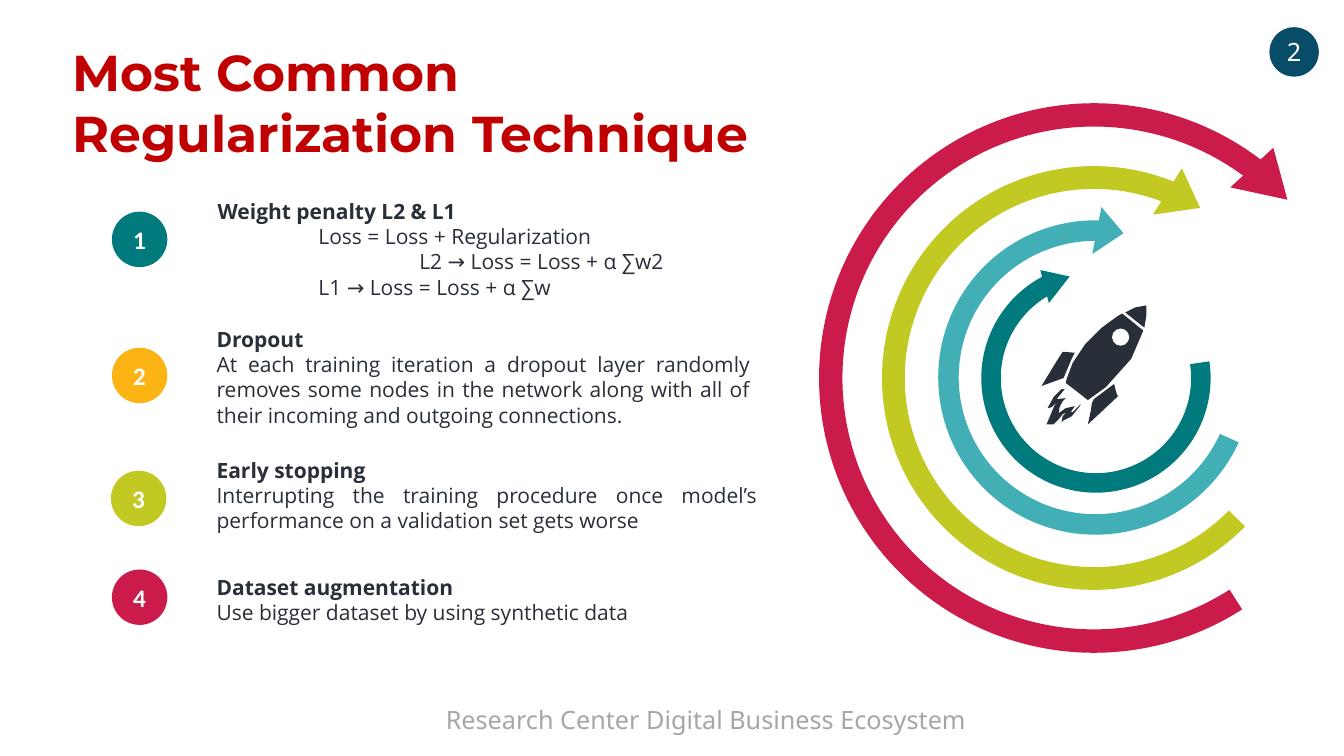
"""Build the slide on common regularization techniques."""
from dataclasses import dataclass

from pptx import Presentation
from pptx import util as u
from pptx.dml.color import RGBColor
from pptx.enum import shapes, text

PX = 9144


@dataclass(frozen=True)
class Theme:
    red: str = "C00000"
    navy: str = "074D67"
    crimson: str = "CB1B4A"
    lime: str = "C2C923"
    aqua: str = "42AFB6"
    teal: str = "007A7D"
    amber: str = "FCB414"
    ink: str = "282F39"
    grey: str = "A6A6A6"
    white: str = "FFFFFF"
    title_size: int = 36
    label_size: int = 18
    body_size: int = 15
    title_font: str = "Montserrat"
    label_font: str = "Noto Sans"
    badge_font: str = "Calibri"
    body_font: str = "Open Sans"


THEME = Theme()


@dataclass(frozen=True)
class Box:
    left: int
    top: int
    width: int
    height: int

    def emu(self) -> list:
        return [u.Emu(side * PX) for side in (self.left, self.top, self.width, self.height)]


@dataclass(frozen=True)
class Line:
    words: str
    tabs: int = 0


@dataclass(frozen=True)
class Topic:
    color: str
    badge: Box
    box: Box
    heading: str
    lines: tuple


@dataclass(frozen=True)
class Ring:
    color: str
    box: Box
    rotation: float
    adjustments: tuple


TOPICS = (
    Topic(THEME.teal, Box(111, 210, 55, 55), Box(206, 192, 509, 111), "Weight penalty L2 & L1",
          (Line("Loss = Loss + Regularization", 1), Line("L2 → Loss = Loss + α ∑w2", 2),
           Line("L1 → Loss = Loss + α ∑w", 1))),
    Topic(THEME.amber, Box(111, 345, 55, 55), Box(205, 319, 549, 111), "Dropout",
          (Line("At each training iteration a dropout layer randomly removes some nodes in the "
                "network along with all of their incoming and outgoing connections."),)),
    Topic(THEME.lime, Box(110, 467, 55, 55), Box(205, 449, 556, 86), "Early stopping",
          (Line("Interrupting the training procedure once model’s performance on a validation "
                "set gets worse"),)),
    Topic(THEME.crimson, Box(111, 565, 55, 55), Box(205, 565, 527, 61), "Dataset augmentation",
          (Line("Use bigger dataset by using synthetic data"),)),
)

RINGS = (
    Ring(THEME.crimson, Box(795, 85, 580, 580), 335.4, (0.04, 6.28, 198.89, 49.18, 0.05)),
    Ring(THEME.lime, Box(859, 149, 452, 452), 318, (0.05, 6.28, 200.1, 51.9, 0.06)),
    Ring(THEME.aqua, Box(917, 205, 339, 339), 296.7, (0.06, 6.28, 200.31, 52.61, 0.07)),
    Ring(THEME.teal, Box(966, 254, 242, 242), 267.4, (0.08, 8.87, 199.98, 50.53, 0.07)),
)

HULL = ((1057, 380), (1058, 376), (1064, 360), (1076, 342), (1093, 325), (1108, 314),
        (1113, 311), (1129, 324), (1134, 328), (1122, 356), (1097, 384), (1079, 397),
        (1065, 386))
RIGHT_FIN = ((1105, 381), (1106, 385), (1108, 392), (1109, 393), (1092, 409), (1079, 421),
             (1082, 407), (1083, 400), (1085, 396))
LEFT_FIN = ((1066, 350), (1063, 356), (1057, 370), (1055, 375), (1044, 379), (1033, 383),
            (1047, 360), (1054, 349))
FLAME = ((1057, 395), (1054, 398), (1051, 404), (1050, 410), (1057, 405), (1066, 403),
         (1062, 409), (1064, 409), (1071, 402), (1072, 401), (1071, 403), (1063, 413),
         (1055, 417), (1053, 419), (1054, 413), (1058, 409), (1054, 411), (1050, 416),
         (1045, 421), (1038, 421), (1041, 414), (1046, 402), (1049, 400), (1046, 401),
         (1043, 404), (1039, 405), (1045, 394), (1053, 386), (1056, 386), (1048, 396))
NOSE = ((1135, 325), (1116, 310), (1126, 305), (1137, 303), (1137, 313))
ROCKET = (HULL, RIGHT_FIN, LEFT_FIN, FLAME, NOSE)
WINDOW = Box(1103, 326, 17, 17)


def paint(shape, color: str) -> None:
    shape.shadow.inherit = False
    shape.fill.solid()
    shape.fill.fore_color.rgb = RGBColor.from_string(color)
    shape.line.fill.background()


def style(para, size: int, font: str, color: str, bold: bool = False) -> None:
    for span in para.runs:
        span.font.size = u.Pt(size)
        span.font.name = font
        span.font.bold = bold
        span.font.color.rgb = RGBColor.from_string(color)


def add_circle(canvas, box: Box, color: str):
    circle = canvas.add_shape(shapes.MSO_SHAPE.OVAL, *box.emu())
    paint(circle, color)
    return circle


def add_badge(page, box: Box, color: str, label: str, font: str, bold: bool) -> None:
    frame = add_circle(page.shapes, box, color).text_frame
    frame.text = label
    frame.word_wrap = bold
    frame.vertical_anchor = text.MSO_ANCHOR.MIDDLE
    para = frame.paragraphs[0]
    para.alignment = text.PP_ALIGN.CENTER
    style(para, THEME.label_size, font, THEME.white, bold)


def add_frame(page, box: Box, words: str):
    frame = page.shapes.add_textbox(*box.emu()).text_frame
    frame.word_wrap = True
    frame.auto_size = text.MSO_AUTO_SIZE.SHAPE_TO_FIT_TEXT
    frame.text = words
    return frame


def add_topic(page, number: int, topic: Topic) -> None:
    add_badge(page, topic.badge, topic.color, str(number), THEME.badge_font, True)
    frame = add_frame(page, topic.box, topic.heading)
    for line in topic.lines:
        para = frame.add_paragraph()
        para.text = line.words
        if line.tabs:
            para._p.get_or_add_pPr().set("marL", str(line.tabs * 100 * PX))
    for index, para in enumerate(frame.paragraphs):
        para.alignment = text.PP_ALIGN.JUSTIFY
        style(para, THEME.body_size, THEME.body_font, THEME.ink, index == 0)


def add_ring(canvas, ring: Ring) -> None:
    arrow = canvas.add_shape(shapes.MSO_SHAPE.CIRCULAR_ARROW, *ring.box.emu())
    for index, value in enumerate(ring.adjustments):
        arrow.adjustments[index] = value
    arrow.rotation = ring.rotation
    paint(arrow, ring.color)


def add_rocket(canvas) -> None:
    for outline in ROCKET:
        builder = canvas.build_freeform(*outline[0], scale=PX)
        builder.add_line_segments(outline[1:], close=True)
        paint(builder.convert_to_shape(), THEME.ink)
    add_circle(canvas, WINDOW, THEME.white)


def add_title(page) -> None:
    title = page.shapes.title
    title.left, title.top, title.width, title.height = Box(62, 36, 699, 131).emu()
    frame = title.text_frame
    frame.text = "Most Common Regularization Technique"
    frame.word_wrap = True
    frame.auto_size = text.MSO_AUTO_SIZE.SHAPE_TO_FIT_TEXT
    frame.vertical_anchor = text.MSO_ANCHOR.TOP
    para = frame.paragraphs[0]
    para.alignment = text.PP_ALIGN.LEFT
    style(para, THEME.title_size, THEME.title_font, THEME.red, True)


def main() -> None:
    deck = Presentation()
    deck.slide_width, deck.slide_height = u.Emu(1333 * PX), u.Emu(750 * PX)
    page = deck.slides.add_slide(deck.slide_layouts.get_by_name("Title Only"))
    add_title(page)
    add_badge(page, Box(1259, 27, 49, 49), THEME.navy, "2", THEME.label_font, False)
    emblem = page.shapes.add_group_shape().shapes
    for ring in RINGS:
        add_ring(emblem, ring)
    add_rocket(emblem)
    for number, topic in enumerate(TOPICS, 1):
        add_topic(page, number, topic)
    footer = add_frame(page, Box(238, 694, 924, 40), "Research Center Digital Business Ecosystem")
    footer.paragraphs[0].alignment = text.PP_ALIGN.CENTER
    style(footer.paragraphs[0], THEME.label_size, THEME.label_font, THEME.grey)
    deck.save("out.pptx")


if __name__ == "__main__":
    main()
